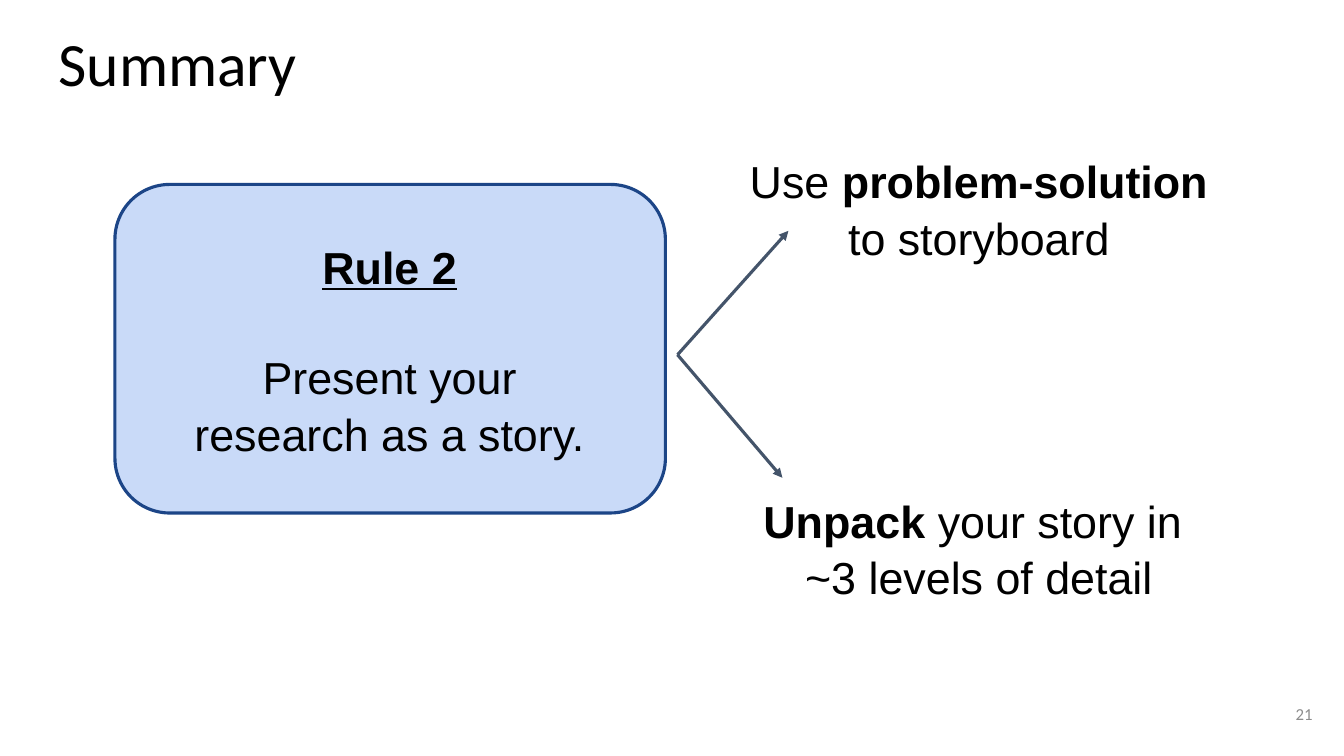
from lxml import etree
from pptx import Presentation
from pptx import util as u
from pptx.dml.color import RGBColor
from pptx.enum import shapes, text
from pptx.oxml.ns import qn

HUES = {"ink": "000000", "fill": "C9DAF8", "edge": "1C4587",
        "arrow": "44546A", "page": "8C8C8C"}
LEFT, MID, RIGHT = text.PP_ALIGN.LEFT, text.PP_ALIGN.CENTER, text.PP_ALIGN.RIGHT
TOP, HALF = text.MSO_ANCHOR.TOP, text.MSO_ANCHOR.MIDDLE


def hue(name):
    return RGBColor.from_string(HUES[name])


class Deck:
    def __init__(self):
        self.prs = Presentation()
        self.prs.slide_width, self.prs.slide_height = u.Inches(13.33), u.Inches(7.5)
        self.slide = self.prs.slides.add_slide(self.prs.slide_layouts[5])
        self.shapes = self.slide.shapes

    def frame(self, shape, anchor=TOP):
        frame = shape.text_frame
        frame.word_wrap = True
        frame.auto_size = text.MSO_AUTO_SIZE.NONE
        frame.vertical_anchor = anchor
        frame.margin_left = frame.margin_right = u.Inches(0.13)
        frame.margin_top = frame.margin_bottom = u.Inches(0.13)
        return frame

    def style(self, para, size, face="Arial", color="ink", align=MID, space=1.05):
        para.alignment, para.line_spacing = align, space
        para.font.size, para.font.name = u.Pt(size), face
        para.font.color.rgb = hue(color)

    def title(self, words, *box):
        shape = self.shapes.title
        shape.left, shape.top, shape.width, shape.height = map(u.Inches, box)
        para = self.frame(shape).paragraphs[0]
        para.text = words
        self.style(para, 44, "Calibri", align=LEFT, space=0.9)

    def box(self, *box, anchor=TOP):
        return self.frame(self.shapes.add_textbox(*map(u.Inches, box)), anchor)

    def say(self, para, *runs):
        """Add (words, bold) runs; a newline in the words breaks the line."""
        for words, bold in runs:
            for i, line in enumerate(words.split("\n")):
                if i:
                    para.add_line_break()
                run = para.add_run()
                run.text, run.font.bold = line, bold
        self.style(para, 32)

    def card(self, *box):
        card = self.shapes.add_shape(shapes.MSO_SHAPE.ROUNDED_RECTANGLE,
                                     *map(u.Inches, box))
        card.shadow.inherit = False
        card.fill.solid()
        card.fill.fore_color.rgb = hue("fill")
        card.line.color.rgb = hue("edge")
        card.line.width = u.Pt(2.25)

    def arrow(self, *ends):
        arrow = self.shapes.add_connector(shapes.MSO_CONNECTOR.STRAIGHT,
                                          *map(u.Inches, ends))
        arrow.line.color.rgb = hue("arrow")
        arrow.line.width = u.Pt(2.25)
        props = arrow.element.spPr
        etree.SubElement(props.find(qn("a:ln")), qn("a:tailEnd"), type="triangle")
        etree.SubElement(props, qn("a:effectLst"))


def main():
    deck = Deck()
    deck.title("Summary", 0.45, 0.2, 12.42, 0.84)

    deck.card(1.14, 1.83, 5.46, 3.26)
    rule = deck.box(1.01, 2.22, 5.71, 2.6)
    head, body = rule.paragraphs[0], rule.add_paragraph()
    deck.say(head, ("Rule 2", True))
    head.font.underline = True
    deck.say(body, ("Present your\nresearch as a story.", False))
    body.space_before = u.Pt(38.6)

    for x, y in ((7.82, 2.29), (7.76, 4.74)):
        deck.arrow(6.72, 3.52, x, y)

    points = (
        (1.37, (("Use ", False), ("problem-solution", True), (" to storyboard", False))),
        (4.74, (("Unpack", True), (" your story in \n~3 levels of detail", False))),
    )
    for y, runs in points:
        deck.say(deck.box(7.09, y, 5.24, 1.4).paragraphs[0], *runs)

    page = deck.box(12.35, 6.8, 0.8, 0.57, anchor=HALF).paragraphs[0]
    page.text = "21"
    deck.style(page, 12, "Calibri", "page", RIGHT, 1)

    deck.prs.save("out.pptx")


if __name__ == "__main__":
    main()
